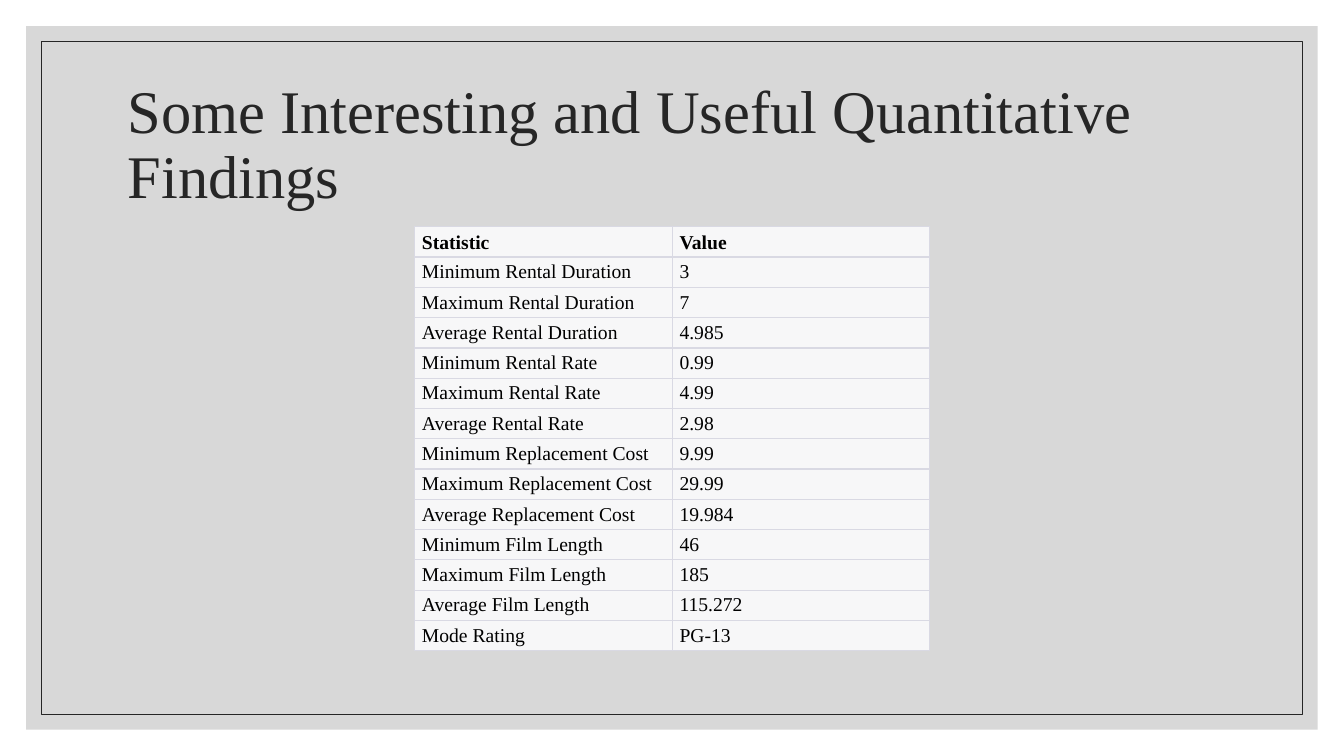
"""Build the slide of quantitative film rental findings."""
from lxml import etree
from pptx import Presentation
from pptx import util as u
from pptx.dml.color import RGBColor
from pptx.enum import shapes, text
from pptx.oxml import ns

TITLE = "Some Interesting and Useful Quantitative Findings"
ROWS = [
    ("Statistic", "Value"),
    ("Minimum Rental Duration", "3"),
    ("Maximum Rental Duration", "7"),
    ("Average Rental Duration", "4.985"),
    ("Minimum Rental Rate", "0.99"),
    ("Maximum Rental Rate", "4.99"),
    ("Average Rental Rate", "2.98"),
    ("Minimum Replacement Cost", "9.99"),
    ("Maximum Replacement Cost", "29.99"),
    ("Average Replacement Cost", "19.984"),
    ("Minimum Film Length", "46"),
    ("Maximum Film Length", "185"),
    ("Average Film Length", "115.272"),
    ("Mode Rating", "PG-13"),
]
COLORS = {"panel": "BFBFBF", "ink": "262626", "cell": "F7F7F8",
          "border": "D9D9E3", "table_text": "000000"}
FONT = "Times New Roman"
SLIDE_WIDTH, SLIDE_HEIGHT = 960, 540
PANEL_MARGIN, FRAME_MARGIN = 18.72, 29.52
TABLE_TOP, COLUMN_WIDTH, ROW_HEIGHT = 162, 184, 21.63


def color(name):
    return RGBColor.from_string(COLORS[name])


def style_font(font, size, name, bold=False):
    font.name, font.size, font.bold = FONT, u.Pt(size), bold
    font.color.rgb = color(name)


def add_inset_rectangle(slide, margin):
    shape = slide.shapes.add_shape(
        shapes.MSO_SHAPE.RECTANGLE, u.Pt(margin), u.Pt(margin),
        u.Pt(SLIDE_WIDTH - 2 * margin), u.Pt(SLIDE_HEIGHT - 2 * margin))
    shape.shadow.inherit = False
    return shape


def add_background(slide):
    panel = add_inset_rectangle(slide, PANEL_MARGIN)
    panel.fill.solid()
    panel.fill.fore_color.rgb = color("panel")
    panel.line.fill.background()
    fill_color = panel.element.spPr.find(".//" + ns.qn("a:srgbClr"))
    etree.SubElement(fill_color, ns.qn("a:alpha"), val="60000")
    frame = add_inset_rectangle(slide, FRAME_MARGIN)
    frame.fill.background()
    frame.line.color.rgb = color("ink")
    frame.line.width = u.Pt(0.5)


def place_title(slide):
    title = slide.shapes.title
    title.left, title.top = u.Pt(84), u.Pt(50.4)
    title.width, title.height = u.Pt(792), u.Pt(108)
    title.element.getparent().append(title.element)
    frame = title.text_frame
    frame.text = TITLE
    frame.word_wrap = True
    frame.auto_size = text.MSO_AUTO_SIZE.NONE
    frame.vertical_anchor = text.MSO_ANCHOR.MIDDLE
    paragraph = frame.paragraphs[0]
    paragraph.alignment = text.PP_ALIGN.LEFT
    paragraph.line_spacing = 0.9
    style_font(paragraph.runs[0].font, 43.2, "ink")


def set_borders(cell, widths):
    properties = cell._tc.get_or_add_tcPr()
    for position, (side, width) in enumerate(widths.items()):
        line = etree.Element(ns.qn(f"a:ln{side}"), w=str(u.Pt(width)))
        fill = etree.SubElement(line, ns.qn("a:solidFill"))
        etree.SubElement(fill, ns.qn("a:srgbClr"), val=COLORS["border"])
        properties.insert(position, line)


def add_statistics(slide):
    width, height = 2 * COLUMN_WIDTH, len(ROWS) * ROW_HEIGHT
    table = slide.shapes.add_table(
        len(ROWS), 2, u.Pt((SLIDE_WIDTH - width) / 2), u.Pt(TABLE_TOP),
        u.Pt(width), u.Pt(height)).table
    last = len(ROWS) - 1
    for row_index, values in enumerate(ROWS):
        table.rows[row_index].height = u.Pt(ROW_HEIGHT)
        header = row_index == 0
        widths = {"L": 0.75, "R": 0.75, "T": 0.75 if header else 1,
                  "B": 0.75 if row_index == last else 1}
        for column_index, value in enumerate(values):
            cell = table.cell(row_index, column_index)
            cell.text = value
            cell.fill.solid()
            cell.fill.fore_color.rgb = color("cell")
            cell.margin_left = cell.margin_right = u.Pt(5.4)
            cell.margin_top = cell.margin_bottom = u.Pt(2.7)
            cell.vertical_anchor = (text.MSO_ANCHOR.BOTTOM if header
                                    else text.MSO_ANCHOR.MIDDLE)
            style_font(cell.text_frame.paragraphs[0].runs[0].font,
                       14, "table_text", header)
            set_borders(cell, widths)


def main():
    presentation = Presentation()
    presentation.slide_width = u.Pt(SLIDE_WIDTH)
    presentation.slide_height = u.Pt(SLIDE_HEIGHT)
    slide = presentation.slides.add_slide(presentation.slide_layouts[5])
    add_background(slide)
    place_title(slide)
    add_statistics(slide)
    presentation.save("out.pptx")


if __name__ == "__main__":
    main()
